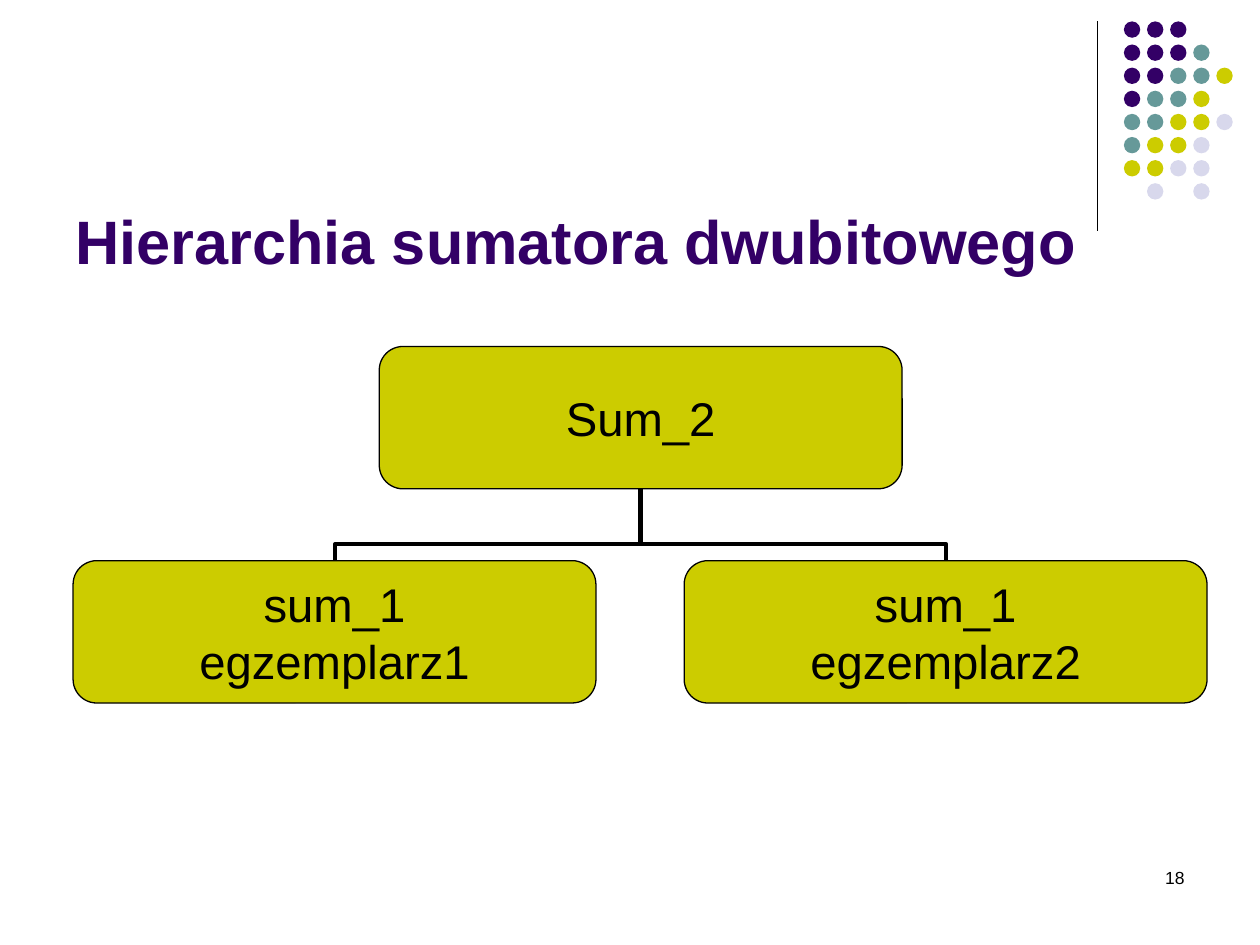
from lxml import etree
from pptx import Presentation
from pptx.dml.color import RGBColor
from pptx.enum.shapes import MSO_CONNECTOR as LINK, MSO_SHAPE as SHAPE
from pptx.enum.text import MSO_ANCHOR as ANCHOR, PP_ALIGN as ALIGN
from pptx.oxml.ns import qn
from pptx.util import Inches, Pt

PURPLE, TEAL, LIME, LAVENDER, BLACK = "330066", "669999", "CCCC00", "D8D8EC", "000000"


def rgb(color):
    return RGBColor.from_string(color)


def write(shape, text, size, color=BLACK, bold=False, align=ALIGN.LEFT,
          anchor=ANCHOR.TOP, wrap=True, inset=None):
    """Fill a shape with text, one paragraph per line."""
    frame = shape.text_frame
    frame.word_wrap = wrap
    frame.vertical_anchor = anchor
    if inset is not None:
        frame.margin_left = frame.margin_right = Inches(inset)
        frame.margin_top = frame.margin_bottom = Inches(inset)
    frame.text = text
    for paragraph in frame.paragraphs:
        paragraph.alignment = align
        font = paragraph.runs[0].font
        font.name, font.size, font.bold = "Arial", Pt(size), bold
        font.color.rgb = rgb(color)


prs = Presentation()
prs.slide_width, prs.slide_height = Inches(10), Inches(7.5)
slide = prs.slides.add_slide(prs.slide_layouts[6])
shapes = slide.shapes

# Corner decoration: a rule and a grid of dots
rule = shapes.add_connector(LINK.STRAIGHT, Inches(8.71), Inches(0.17), Inches(8.71), Inches(1.83))
rule.line.color.rgb = rgb(BLACK)
rule.line.width = Pt(0.75)
etree.SubElement(rule._element.spPr, qn("a:effectLst"))

dot_colors = {"P": PURPLE, "T": TEAL, "L": LIME, "V": LAVENDER}
dot_rows = ["PPP", "PPPT", "PPTTL", "PTTL", "TTLLV", "TLLV", "LLVV", " V V"]
dot_pitch = 0.1835
for row, keys in enumerate(dot_rows):
    for column, key in enumerate(keys):
        if key == " ":
            continue
        dot = shapes.add_shape(SHAPE.OVAL, Inches(8.92 + column * dot_pitch),
                               Inches(0.17 + row * dot_pitch), Inches(0.13), Inches(0.13))
        dot.shadow.inherit = False
        dot.fill.solid()
        dot.fill.fore_color.rgb = rgb(dot_colors[key])
        dot.line.fill.background()

# Page number and title
page_number = shapes.add_textbox(Inches(7.17), Inches(6.83), Inches(2.33), Inches(0.5))
write(page_number, "18", 10, align=ALIGN.RIGHT)
title = shapes.add_textbox(Inches(0.5), Inches(1.67), Inches(9), Inches(0.47))
write(title, "Hierarchia sumatora dwubitowego", 35, color=PURPLE, bold=True, anchor=ANCHOR.MIDDLE)

# Hierarchy: the adder on top, its two instances below
modules = []
for text, left, top in [("Sum_2", 3.01, 2.75),
                        ("sum_1\negzemplarz1", 0.58, 4.45),
                        ("sum_1\negzemplarz2", 5.43, 4.45)]:
    module = shapes.add_shape(SHAPE.ROUNDED_RECTANGLE, Inches(left), Inches(top),
                              Inches(4.15), Inches(1.13))
    module.shadow.inherit = False
    module.fill.solid()
    module.fill.fore_color.rgb = rgb(LIME)
    module.line.color.rgb = rgb(BLACK)
    module.line.width = Pt(0.75)
    write(module, text, 27, align=ALIGN.CENTER, anchor=ANCHOR.MIDDLE, wrap=False, inset=0)
    modules.append(module)

# Branches run upwards from child to parent, so each elbow is turned on its side
adder, first, second = modules
rise, reach = 0.57, 2.42
for child, center, turn, flips in [(first, 3.87, 90, ["flipH", "flipV"]),
                                   (second, 6.3, 270, ["flipV"])]:
    branch = shapes.add_connector(LINK.ELBOW, 0, 0, 0, 0)
    branch.begin_connect(child, 0)
    branch.end_connect(adder, 2)
    branch.left, branch.top = Inches(center - rise / 2), Inches(4.16 - reach / 2)
    branch.width, branch.height = Inches(rise), Inches(reach)
    branch.line.color.rgb = rgb(BLACK)
    branch.line.width = Pt(2.25)
    properties = branch._element.spPr
    etree.SubElement(properties, qn("a:effectLst"))
    frame = properties.find(qn("a:xfrm"))
    frame.set("rot", str(turn * 60000))
    for flip in ("flipH", "flipV"):
        frame.set(flip, "1" if flip in flips else "0")
    guides = properties.find(qn("a:prstGeom")).find(qn("a:avLst"))
    etree.SubElement(guides, qn("a:gd"), name="adj1", fmla="val 22100")
    # Keep the branches behind the boxes
    adder._element.addprevious(branch._element)

prs.save("out.pptx")
